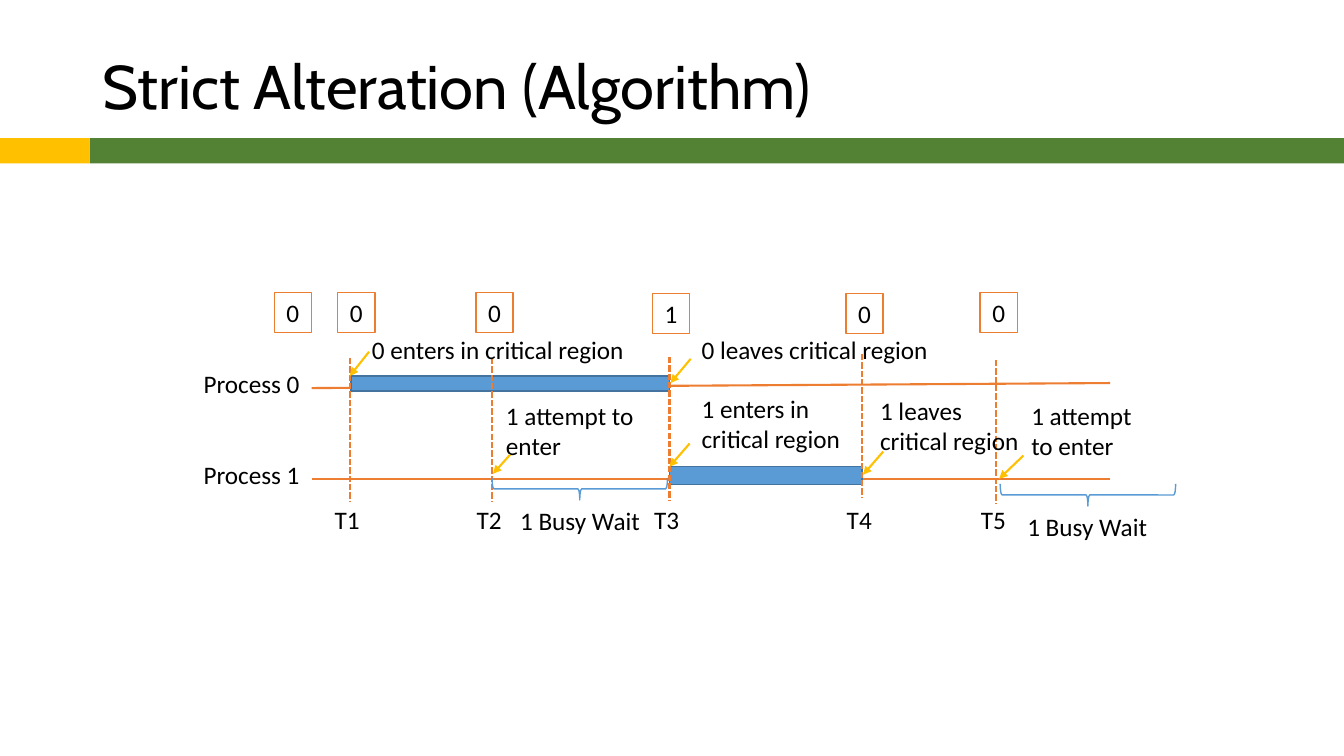
from lxml.etree import SubElement
from pptx import Presentation
from pptx.dml.color import RGBColor
from pptx.enum.dml import MSO_LINE
from pptx.enum.shapes import MSO_CONNECTOR, MSO_SHAPE
from pptx.enum.text import MSO_ANCHOR, PP_ALIGN
from pptx.oxml.ns import qn
from pptx.util import Inches, Pt

BLACK = RGBColor(0x00, 0x00, 0x00)
WHITE = RGBColor(0xFF, 0xFF, 0xFF)
GREEN = RGBColor(0x54, 0x82, 0x35)
GOLD = RGBColor(0xFF, 0xC0, 0x00)
ORANGE = RGBColor(0xED, 0x7D, 0x31)
BLUE = RGBColor(0x5B, 0x9B, 0xD5)
NAVY = RGBColor(0x43, 0x73, 0x9E)


def write(shape, text, size=18, font="Calibri", align=PP_ALIGN.LEFT,
          anchor=MSO_ANCHOR.TOP, spacing=None):
    frame = shape.text_frame
    frame.word_wrap = True
    frame.vertical_anchor = anchor
    para = frame.paragraphs[0]
    para.text = text
    para.alignment = align
    para.line_spacing = spacing
    para.font.size = Pt(size)
    para.font.name = font
    para.font.color.rgb = BLACK


def label(slide, text, left, top, width, height=0.4, **style):
    box = slide.shapes.add_textbox(
        Inches(left), Inches(top), Inches(width), Inches(height))
    write(box, text, **style)


def block(slide, left, top, width, height, fill=None, edge=None,
          kind=MSO_SHAPE.RECTANGLE):
    shape = slide.shapes.add_shape(
        kind, Inches(left), Inches(top), Inches(width), Inches(height))
    shape.shadow.inherit = False
    if fill is None:
        shape.fill.background()
    else:
        shape.fill.solid()
        shape.fill.fore_color.rgb = fill
    if edge is None:
        shape.line.fill.background()
    else:
        shape.line.color.rgb = edge
        shape.line.width = Pt(1)
    return shape


def turn_box(slide, value, left, top):
    box = block(slide, left, top, 0.37, 0.4, WHITE, ORANGE)
    write(box, value, align=PP_ALIGN.CENTER)


def brace(slide, left, top):
    shape = block(slide, left, top, 0.22, 1.74, edge=BLUE,
                  kind=MSO_SHAPE.RIGHT_BRACE)
    shape.rotation = 90


def line(slide, x1, y1, x2, y2, color=ORANGE, dash=False, arrow=False):
    link = slide.shapes.add_connector(
        MSO_CONNECTOR.STRAIGHT, Inches(x1), Inches(y1), Inches(x2), Inches(y2))
    link.line.color.rgb = color
    link.line.width = Pt(1.5)
    if dash:
        link.line.dash_style = MSO_LINE.SQUARE_DOT
    if arrow:
        SubElement(link.line._get_or_add_ln(), qn("a:tailEnd"), type="triangle")
    SubElement(link._element.spPr, qn("a:effectLst"))


def main():
    deck = Presentation()
    deck.slide_width, deck.slide_height = Inches(13.33), Inches(7.5)
    slide = deck.slides.add_slide(deck.slide_layouts[6])

    # Title and band
    block(slide, 0.89, 1.37, 12.44, 0.25, GREEN)
    block(slide, 0, 1.37, 0.89, 0.25, GOLD)
    label(slide, "Strict Alteration (Algorithm)", 0.92, 0.4, 11.5, 0.97,
          size=44, font="Cabin", anchor=MSO_ANCHOR.MIDDLE, spacing=0.9)

    # Process timelines with their critical regions
    line(slide, 3.09, 3.85, 11.01, 3.8)
    line(slide, 3.09, 4.75, 11.01, 4.75)
    block(slide, 3.48, 3.73, 3.16, 0.15, BLUE, NAVY)
    block(slide, 6.64, 4.63, 1.91, 0.18, BLUE, NAVY)
    for number, top in enumerate((3.61, 4.51)):
        label(slide, f"Process {number}", 1.92, top, 1.21)

    # Time marks
    marks = [(3.47, 3.55), (4.88, 3.55), (6.64, 3.54), (8.55, 3.51), (9.88, 3.57)]
    for number, (x, top) in enumerate(marks, 1):
        line(slide, x, top, x, top + 1.42, dash=True)
        label(slide, f"T{number}", x - 0.25, 4.95, 0.5)

    # Turn values
    for value, left, top in [("0", 2.72, 2.9), ("0", 3.35, 2.9), ("0", 4.72, 2.9),
                             ("1", 6.47, 2.91), ("0", 8.39, 2.91), ("0", 9.72, 2.9)]:
        turn_box(slide, value, left, top)

    # Events: text, its box, then its arrow
    events = [
        ("0 enters in critical region", (3.59, 3.27, 2.77, 0.4), (3.66, 3.49, 3.47, 3.73)),
        ("1 attempt to enter", (4.92, 3.92, 1.59, 0.71), (5.06, 4.51, 4.89, 4.7)),
        ("0 leaves critical region", (6.86, 3.27, 2.52, 0.4), (6.85, 3.56, 6.65, 3.8)),
        ("1 enters in critical region", (6.86, 3.85, 1.58, 0.71), (6.84, 4.4, 6.64, 4.63)),
        ("1 leaves critical region", (8.63, 3.87, 1.61, 0.71), (8.76, 4.48, 8.56, 4.71)),
        ("1 attempt to enter", (10.13, 3.92, 1.29, 0.71), (10.15, 4.52, 9.91, 4.75)),
    ]
    for text, area, ends in events:
        label(slide, text, *area)
        line(slide, *ends, color=GOLD, arrow=True)

    # Busy waits
    for left, top, x in [(5.64, 3.98, 5.06), (10.68, 4.04, 10.09)]:
        brace(slide, left, top)
        label(slide, "1 Busy Wait", x, top + 0.98, 1.41)

    deck.save("out.pptx")


if __name__ == "__main__":
    main()
